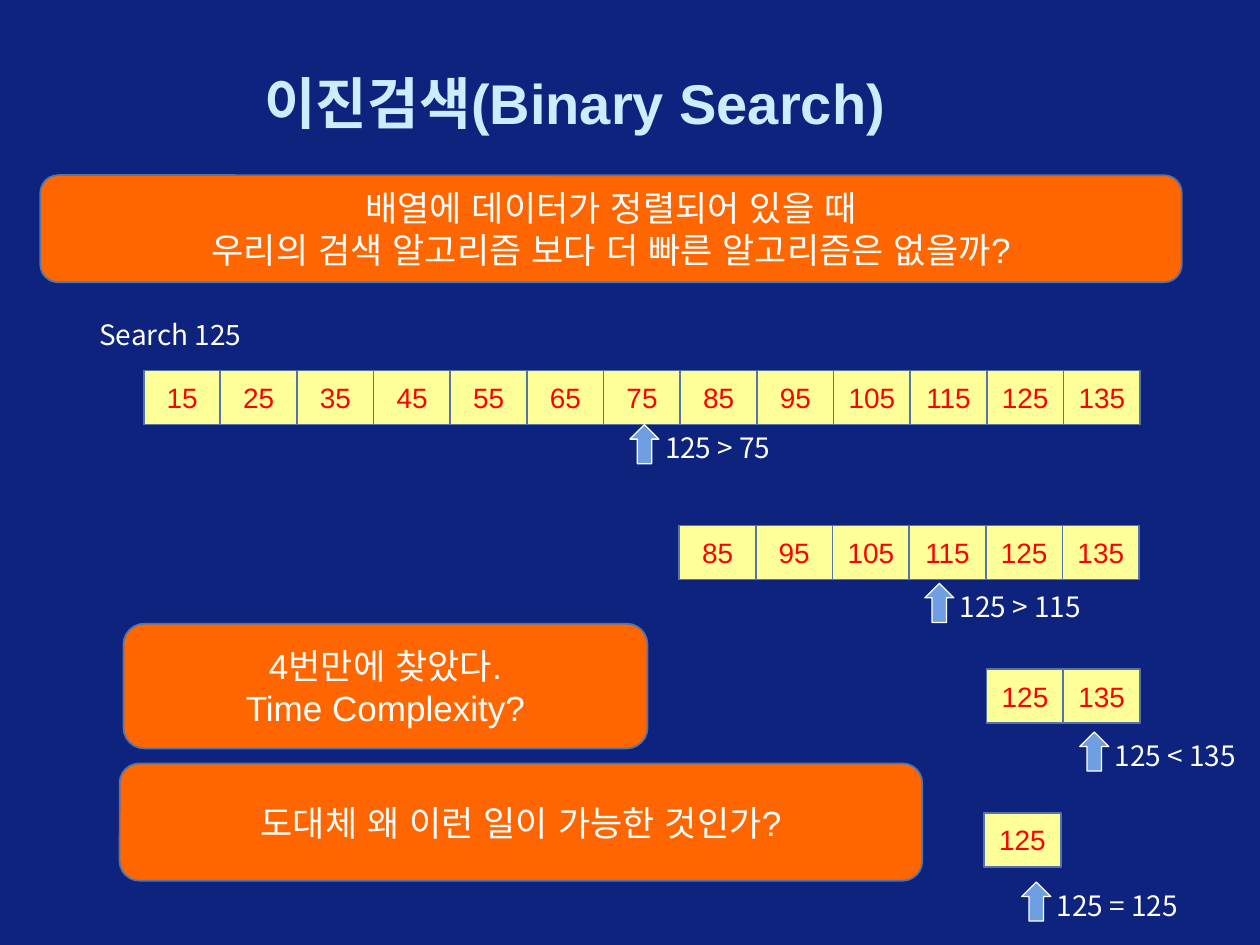
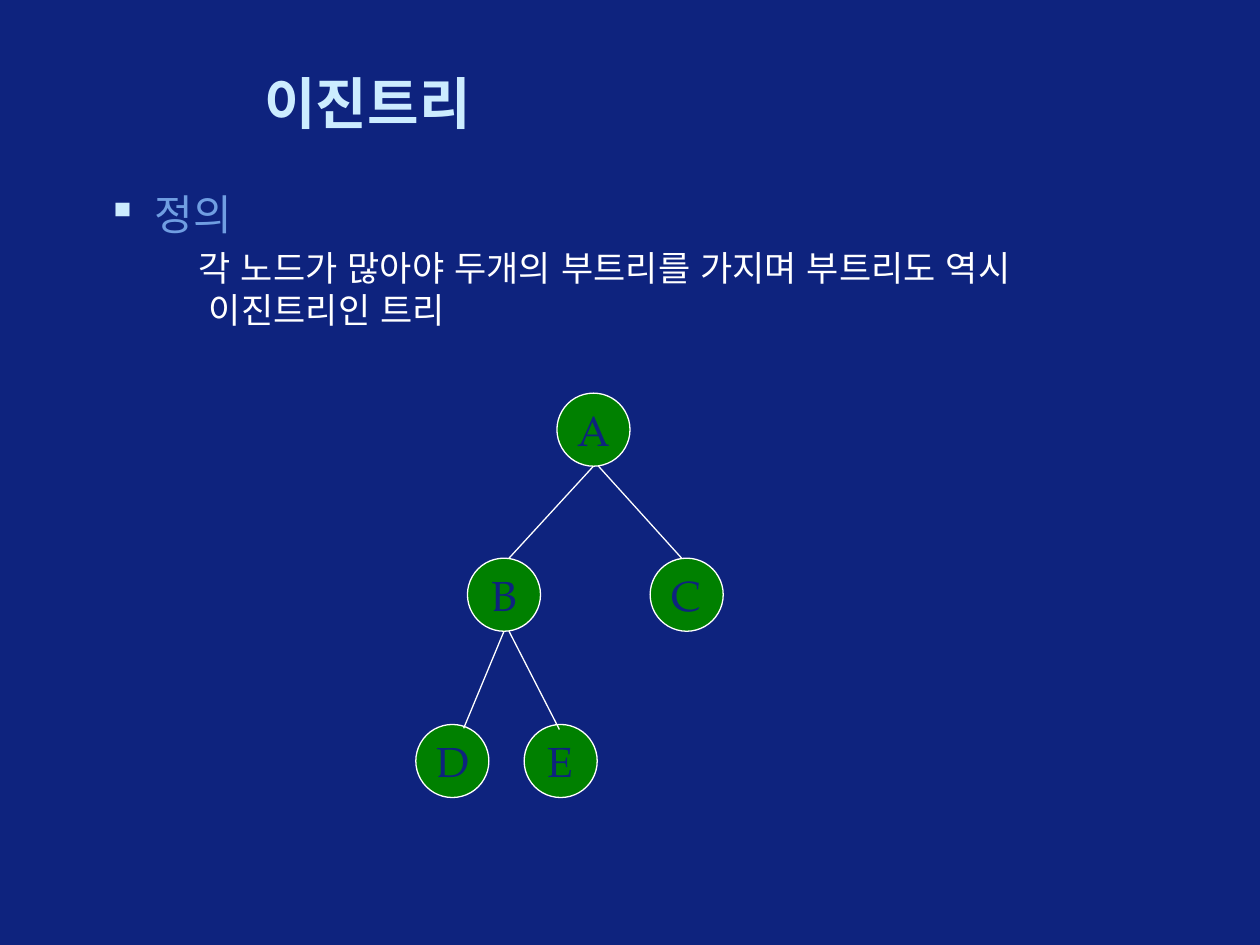
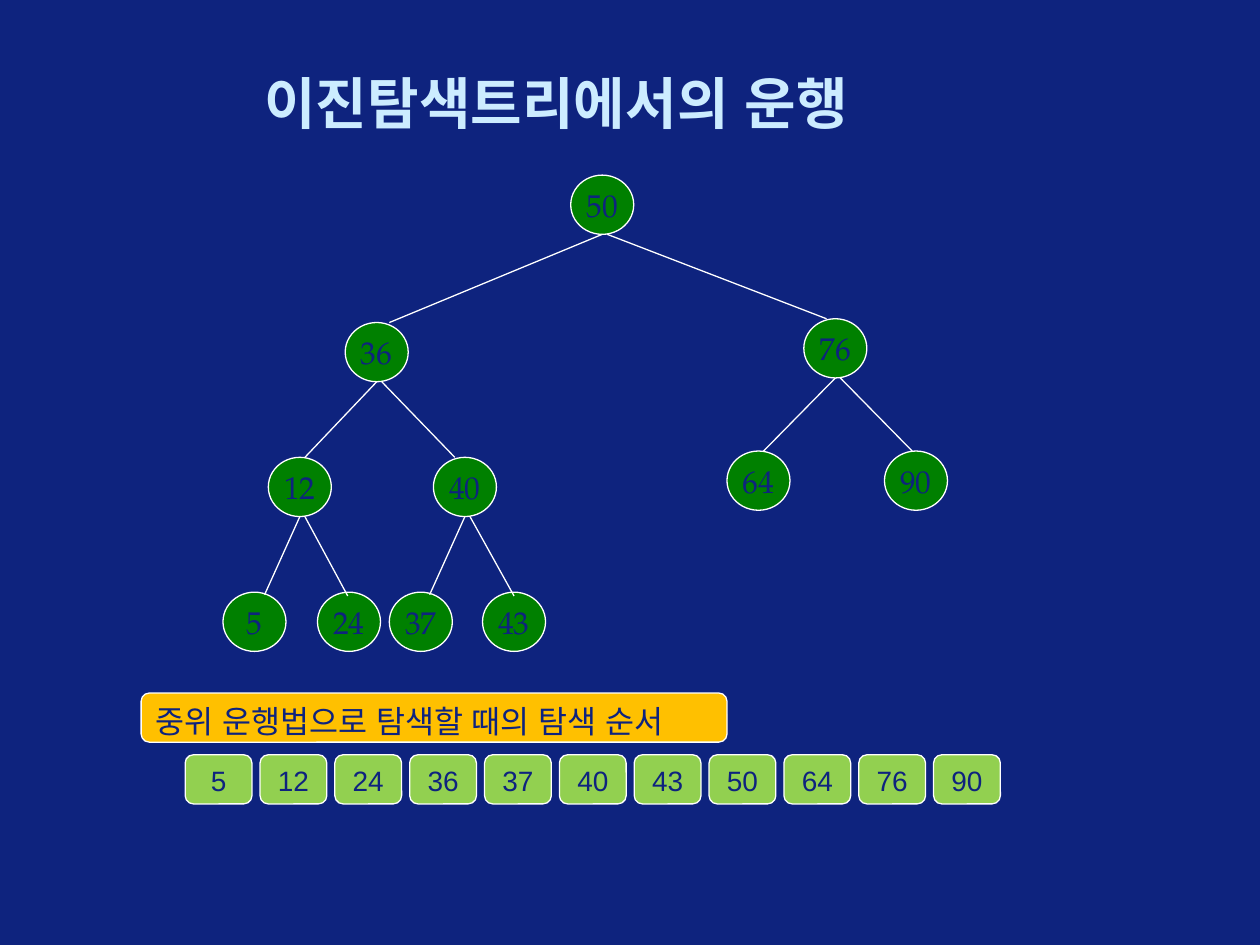
import pptx
import pptx.util
import pptx.dml.color
import pptx.enum.shapes
import pptx.enum.text
import pptx.oxml.ns
import lxml.etree

Inches = pptx.util.Inches
Pt = pptx.util.Pt
qn = pptx.oxml.ns.qn
SHAPE = pptx.enum.shapes.MSO_SHAPE
ALIGN = pptx.enum.text.PP_ALIGN
ANCHOR = pptx.enum.text.MSO_ANCHOR
rgb = pptx.dml.color.RGBColor.from_string

NAVY, WHITE, ICE, SKY = "0E237E", "FFFFFF", "CCECFF", "709EE2"
ORANGE, STEEL, CREAM, RED = "FF6600", "5375A7", "FFFF99", "FF0000"
GREEN, LIME, AMBER = "008000", "92D050", "FFC000"
SANS, KOREAN, SERIF = "Arial", "Noto Sans CJK KR", "TeX Gyre Pagella"


def add_text(sp, lines, size, color, font=SANS, align=ALIGN.LEFT, anchor=ANCHOR.TOP, bold=False, wrap=True):
    tf = sp.text_frame
    tf.word_wrap = wrap
    tf.vertical_anchor = anchor
    tf.text = lines
    for p in tf.paragraphs:
        p.alignment = align
        p.font.size = Pt(size)
        p.font.bold = bold
        p.font.color.rgb = rgb(color)
        p.font.name = font
        defaults = p._p.pPr.find(qn("a:defRPr"))
        lxml.etree.SubElement(defaults, qn("a:ea"), typeface=font)
    return tf


def add_box(s, kind, left, top, width, height, fill, line=WHITE, weight=0.75):
    sp = s.shapes.add_shape(kind, Inches(left), Inches(top), Inches(width), Inches(height))
    sp.shadow.inherit = False
    sp.fill.solid()
    sp.fill.fore_color.rgb = rgb(fill)
    sp.line.color.rgb = rgb(line)
    sp.line.width = Pt(weight)
    return sp


prs = pptx.Presentation()
prs.slide_width = Inches(10)
prs.slide_height = Inches(7.5)

slides = []
for title in ["이진검색(Binary Search)", "이진트리", "이진탐색트리에서의 운행"]:
    s = prs.slides.add_slide(prs.slide_layouts[6])
    s.background.fill.solid()
    s.background.fill.fore_color.rgb = rgb(NAVY)
    sp = s.shapes.add_textbox(Inches(2), Inches(0.5), Inches(7.58), Inches(0.62))
    add_text(sp, title, 32, ICE, anchor=ANCHOR.MIDDLE, bold=True)
    slides.append(s)
search, definition, traversal = slides

cell_pitch = 7.3 / 12
search_steps = [
    (range(15, 136, 10), 1.14, 2.94),
    (range(85, 136, 10), 5.39, 4.17),
    (range(125, 136, 10), 7.83, 5.31),
    ([125], 7.81, 6.45),
]
for values, left, top in search_steps:
    for i, value in enumerate(values):
        sp = add_box(search, SHAPE.RECTANGLE, left + i * cell_pitch, top, 0.61, 0.43, CREAM, STEEL, 1)
        add_text(sp, str(value), 16, RED, align=ALIGN.CENTER, anchor=ANCHOR.MIDDLE)

labels = [("Search 125", 0.69, 2.47)]
for comparison, left, top in [
    ("125 > 75", 5, 3.37),
    ("125 > 115", 7.34, 4.63),
    ("125 < 135", 8.57, 5.81),
    ("125 = 125", 8.11, 7),
]:
    add_box(search, SHAPE.UP_ARROW, left, top, 0.23, 0.31, SKY)
    labels.append((comparison, left + 0.18, top))
for label, left, top in labels:
    sp = search.shapes.add_textbox(Inches(left), Inches(top), Inches(1.39 if left < 1 else 1.27), Inches(0.37))
    add_text(sp, label, 16, WHITE, KOREAN)

for message, left, top, width, height in [
    ("4번만에 찾았다.\nTime Complexity?", 0.98, 4.95, 4.16, 0.99),
    ("도대체 왜 이런 일이 가능한 것인가?", 0.95, 6.06, 6.37, 0.93),
    ("배열에 데이터가 정렬되어 있을 때\n우리의 검색 알고리즘 보다 더 빠른 알고리즘은 없을까?", 0.32, 1.39, 9.06, 0.85),
]:
    sp = add_box(search, SHAPE.ROUNDED_RECTANGLE, left, top, width, height, ORANGE, STEEL, 1)
    add_text(sp, message, 20, WHITE, align=ALIGN.CENTER, anchor=ANCHOR.MIDDLE)

sp = definition.shapes.add_textbox(Inches(0.75), Inches(1.45), Inches(8.6), Inches(4.5))
tf = add_text(sp, "정의\n각 노드가 많아야 두개의 부트리를 가지며 부트리도 역시 이진트리인 트리", 20, WHITE)
heading, body = tf.paragraphs
heading.font.size = Pt(24)
heading.font.color.rgb = rgb(SKY)
for p, margin, indent, before in [(heading, 0.38, -0.38, 4.8), (body, 0.81, -0.08, 4)]:
    p.space_before = Pt(before)
    p._p.pPr.set("marL", str(Inches(margin)))
    p._p.pPr.set("indent", str(Inches(indent)))
defaults = heading._p.pPr.find(qn("a:defRPr"))
bullet_color = lxml.etree.Element(qn("a:buClr"))
lxml.etree.SubElement(bullet_color, qn("a:srgbClr"), val=ICE)
defaults.addprevious(bullet_color)
defaults.addprevious(lxml.etree.Element(qn("a:buChar"), char="▪"))

letter_tree = [
    ("A", 4.42, 3.12, None, None),
    ("B", 3.71, 4.43, "A", (4.04, 4.43)),
    ("C", 5.16, 4.43, "A", (5.41, 4.43)),
    ("D", 3.3, 5.75, "B", (3.68, 5.78)),
    ("E", 4.16, 5.75, "B", (4.44, 5.79)),
]
number_tree = [
    ("50", 4.53, 1.39, None, None),
    ("36", 2.74, 2.56, "50", (3.09, 2.56)),
    ("76", 6.38, 2.53, "50", (6.56, 2.53)),
    ("12", 2.13, 3.63, "36", (2.42, 3.63)),
    ("40", 3.44, 3.63, "36", (3.61, 3.63)),
    ("64", 5.77, 3.58, "76", (6.06, 3.58)),
    ("90", 7.02, 3.58, "76", (7.24, 3.58)),
    ("5", 1.77, 4.7, "12", (2.1, 4.72)),
    ("24", 2.52, 4.7, "12", (2.76, 4.73)),
    ("37", 3.09, 4.7, "40", (3.41, 4.72)),
    ("43", 3.83, 4.7, "40", (4.08, 4.73)),
]
for s, tree, width, height, size in [
    (definition, letter_tree, 0.58, 0.58, 24),
    (traversal, number_tree, 0.5, 0.47, 18),
]:
    bottoms = {}
    for name, left, top, parent, end in tree:
        sp = add_box(s, SHAPE.OVAL, left, top, width, height, GREEN)
        add_text(sp, name, size, NAVY, SERIF, ALIGN.CENTER, ANCHOR.MIDDLE, wrap=False)
        bottoms[name] = (left + width / 2, top + height)
        if parent:
            x, y = bottoms[parent]
            if end[0] > x:
                x += 0.04
            line = s.shapes.add_connector(
                pptx.enum.shapes.MSO_CONNECTOR.STRAIGHT, Inches(x), Inches(y), Inches(end[0]), Inches(end[1])
            )
            line.line.color.rgb = rgb(WHITE)
            line.line.width = Pt(0.75)
            lxml.etree.SubElement(line._element.spPr, qn("a:effectLst"))

sp = add_box(traversal, SHAPE.ROUNDED_RECTANGLE, 1.12, 5.5, 4.65, 0.39, AMBER)
add_text(sp, "중위 운행법으로 탐색할 때의 탐색 순서", 18, NAVY)
visit_order = sorted(int(node[0]) for node in number_tree)
visit_pitch = 5.94 / (len(visit_order) - 1)
for i, value in enumerate(visit_order):
    sp = add_box(traversal, SHAPE.ROUNDED_RECTANGLE, 1.47 + i * visit_pitch, 5.99, 0.53, 0.39, LIME)
    add_text(sp, str(value), 16, NAVY, align=ALIGN.CENTER)

prs.save("out.pptx")
